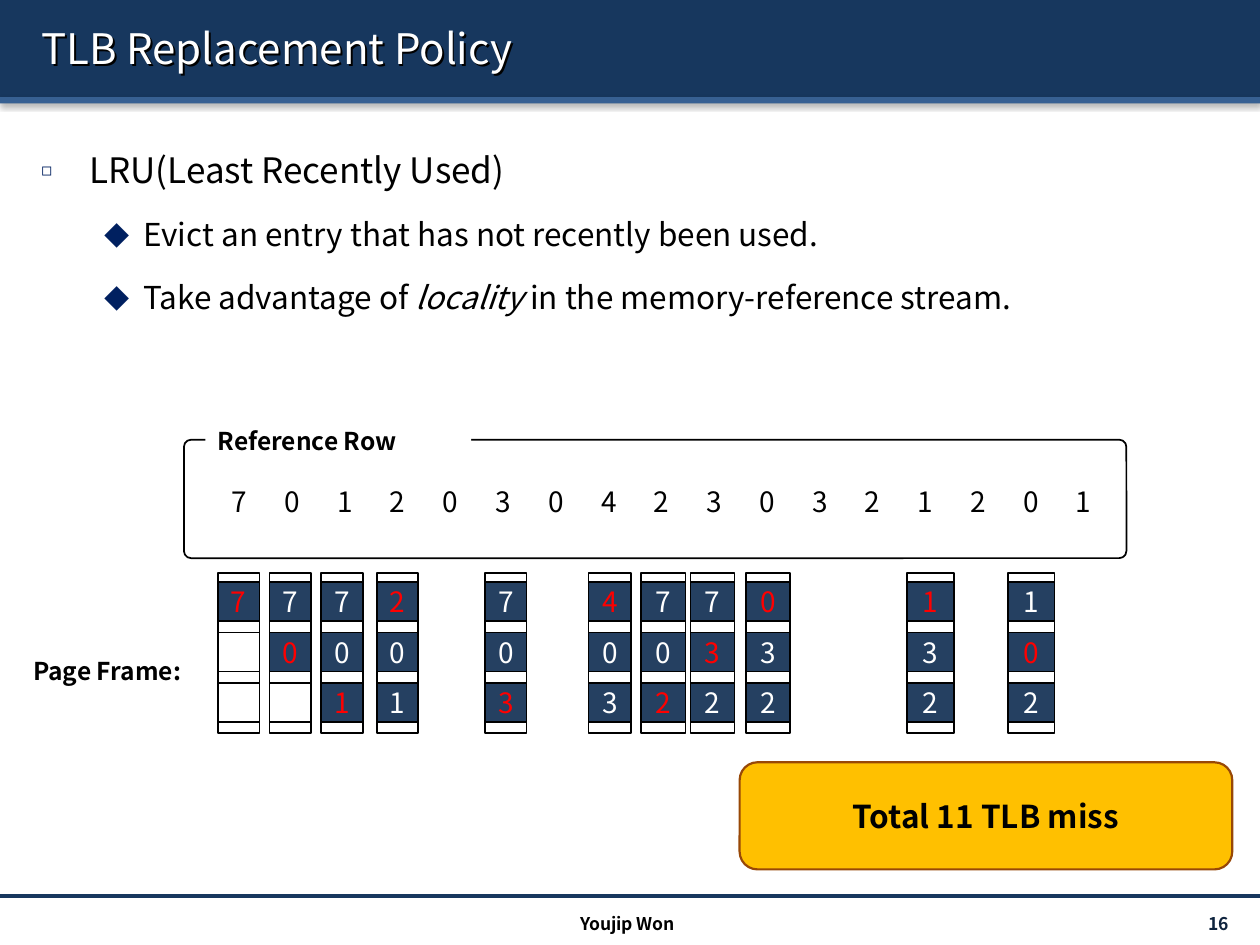
from lxml.etree import SubElement
from pptx import Presentation
from pptx.dml.color import RGBColor
from pptx.enum.shapes import MSO_CONNECTOR, MSO_SHAPE
from pptx.enum.text import MSO_ANCHOR, PP_ALIGN
from pptx.oxml.ns import qn
from pptx.util import Inches, Pt

FONT = "Noto Sans CJK KR"
WHITE = RGBColor(0xFF, 0xFF, 0xFF)
BLACK = RGBColor(0x00, 0x00, 0x00)
RED = RGBColor(0xFF, 0x00, 0x00)
NAVY = RGBColor(0x17, 0x37, 0x5E)
BLUE = RGBColor(0x37, 0x60, 0x92)
BULLET_BLUE = RGBColor(0x00, 0x20, 0x60)
PAGE_NUMBER = RGBColor(0x0F, 0x24, 0x3E)
CELL_BLUE = RGBColor(0x25, 0x40, 0x61)
AMBER = RGBColor(0xFF, 0xC0, 0x00)
BROWN = RGBColor(0x98, 0x48, 0x07)

REFERENCES = "70120304230321201"
FIRST_REFERENCE, LAST_REFERENCE = 1.66, 8.36
FRAME_TOP, CELL_OFFSET, CELL_STEP = 4.55, 0.07, 0.4
FRAMES = [
    (1.73, 0.33, "7  ", 0),
    (2.14, 0.33, "70 ", 1),
    (2.55, 0.33, "701", 2),
    (2.99, 0.33, "201", 0),
    (3.85, 0.33, "703", 2),
    (4.67, 0.34, "403", 0),
    (5.09, 0.35, "702", 2),
    (5.48, 0.35, "732", 1),
    (5.92, 0.35, "032", 0),
    (7.2, 0.37, "132", 0),
    (8, 0.37, "102", 1),
]
BULLETS = [
    ("◻", 50, 20, 0.38, 0.38, [("LRU(Least Recently Used)", False)]),
    ("◆", 80, 18, 0.81, 0.31, [("Evict an entry that has not recently been used.", False)]),
    ("◆", 80, 18, 0.81, 0.31, [("Take advantage of ", False), ("locality", True),
                               (" in the memory-reference stream.", False)]),
]


def add_shadow(shape, blur, distance, direction, opacity):
    """Add a black outer shadow; lengths in points, angle in degrees."""
    properties = shape.element.spPr
    effects = properties.find(qn("a:effectLst"))
    if effects is None:
        effects = SubElement(properties, qn("a:effectLst"))
    shadow = SubElement(effects, qn("a:outerShdw"), blurRad=str(Pt(blur)),
                        dist=str(Pt(distance)), dir=str(direction * 60000))
    color = SubElement(shadow, qn("a:srgbClr"), val=str(BLACK))
    SubElement(color, qn("a:alpha"), val=str(opacity * 1000))


def add_run(paragraph, text, size, color, bold=False, italic=False):
    """Add one formatted run to a paragraph."""
    run = paragraph.add_run()
    run.text = text
    run.font.size = Pt(size)
    run.font.color.rgb = color
    run.font.bold = bold
    run.font.italic = italic
    run.font.name = FONT


def write_line(shape, text, size, color, bold=False, align=PP_ALIGN.CENTER,
               anchor=MSO_ANCHOR.MIDDLE, side_margin=0.1):
    """Write a single line of text in a shape."""
    frame = shape.text_frame
    frame.word_wrap = True
    frame.vertical_anchor = anchor
    frame.margin_left = frame.margin_right = Inches(side_margin)
    paragraph = frame.paragraphs[0]
    paragraph.alignment = align
    add_run(paragraph, text, size, color, bold)


def add_text(slide, box, *text, **layout):
    """Add a text box holding one line."""
    shape = slide.shapes.add_textbox(*map(Inches, box))
    write_line(shape, *text, **layout)
    return shape


def add_box(slide, box, fill, line=None, line_width=1, kind=MSO_SHAPE.RECTANGLE):
    """Add a filled preset shape with an optional outline."""
    shape = slide.shapes.add_shape(kind, *map(Inches, box))
    shape.shadow.inherit = False
    shape.fill.solid()
    shape.fill.fore_color.rgb = fill
    if line is None:
        shape.line.fill.background()
    else:
        shape.line.color.rgb = line
        shape.line.width = Pt(line_width)
    return shape


def add_page_decoration(slide):
    """Draw the title band, the title and the footer."""
    for top, height, color in ((0, 0.77, NAVY), (0.77, 0.05, BLUE)):
        band = add_box(slide, (0, top, 10, height), color)
        add_shadow(band, 3.1, 1.6, 90, 38)
    rule = slide.shapes.add_connector(MSO_CONNECTOR.STRAIGHT, 0, Inches(7.11),
                                      Inches(10), Inches(7.11))
    rule.line.color.rgb = NAVY
    rule.line.width = Pt(2)
    SubElement(rule.element.spPr, qn("a:effectLst"))
    title = add_text(slide, (0.23, 0.06, 9.61, 0.64), "TLB Replacement Policy", 24, WHITE,
                     align=PP_ALIGN.LEFT)
    add_shadow(title, 0, 1.5, 45, 100)
    add_text(slide, (8.71, 7.21, 1.14, 0.24), "16", 10, PAGE_NUMBER, True,
             align=PP_ALIGN.RIGHT)
    add_text(slide, (3.32, 7.2, 3.32, 0.24), "Youjip Won", 10, BLACK, True,
             anchor=MSO_ANCHOR.TOP)


def set_bullet(paragraph, symbol, percent, left, hanging):
    """Give a paragraph a coloured bullet and a hanging indent."""
    properties = paragraph._p.get_or_add_pPr()
    properties.set("marL", str(Inches(left)))
    properties.set("indent", str(-Inches(hanging)))
    color = SubElement(properties, qn("a:buClr"))
    SubElement(color, qn("a:srgbClr"), val=str(BULLET_BLUE))
    SubElement(properties, qn("a:buSzPct"), val=str(percent * 1000))
    SubElement(properties, qn("a:buFont"), typeface=FONT)
    SubElement(properties, qn("a:buChar"), char=symbol)


def add_bullets(slide):
    """Write the bulleted explanation of the policy."""
    box = slide.shapes.add_textbox(Inches(0.23), Inches(0.96), Inches(9.61), Inches(2))
    frame = box.text_frame
    frame.word_wrap = True
    for index, (symbol, percent, size, left, hanging, runs) in enumerate(BULLETS):
        paragraph = frame.add_paragraph() if index else frame.paragraphs[0]
        set_bullet(paragraph, symbol, percent, left, hanging)
        paragraph.level = 1 if index else 0
        paragraph.line_spacing = 1.5
        if index:
            paragraph.space_before = Pt(0.2 * size)
        for text, italic in runs:
            add_run(paragraph, text, size, BLACK, italic=italic)


def add_reference_row(slide):
    """Draw the framed row of page references."""
    row = add_box(slide, (1.46, 3.49, 7.48, 0.94), WHITE, BLACK,
                  kind=MSO_SHAPE.ROUNDED_RECTANGLE)
    row.adjustments[0] = 0.06
    label = add_box(slide, (1.63, 3.33, 2.11, 0.34), WHITE)
    write_line(label, "Reference Row", 14, BLACK, True, align=PP_ALIGN.LEFT,
               anchor=MSO_ANCHOR.TOP)
    step = (LAST_REFERENCE - FIRST_REFERENCE) / (len(REFERENCES) - 1)
    for index, page in enumerate(REFERENCES):
        add_text(slide, (FIRST_REFERENCE + index * step, 3.79, 0.48, 0.37), page, 16, BLACK,
                 side_margin=0)


def add_page_frame(slide, left, width, pages, missed):
    """Draw one column of three cells, with the missed page in red."""
    add_box(slide, (left, FRAME_TOP, width, 1.27), WHITE, BLACK)
    for index, page in enumerate(pages):
        top = FRAME_TOP + CELL_OFFSET + index * CELL_STEP
        filled = page != " "
        cell = add_box(slide, (left, top, width, 0.31), CELL_BLUE if filled else WHITE, BLACK)
        if filled:
            write_line(cell, page, 16, RED if index == missed else WHITE, side_margin=0)


def main():
    """Build and save the slide."""
    presentation = Presentation()
    presentation.slide_width, presentation.slide_height = Inches(10), Inches(7.5)
    slide = presentation.slides.add_slide(presentation.slide_layouts[6])
    add_page_decoration(slide)
    add_bullets(slide)
    add_reference_row(slide)
    add_text(slide, (0.04, 5.16, 1.62, 0.34), "Page Frame:", 14, BLACK, True,
             anchor=MSO_ANCHOR.TOP)
    for frame in FRAMES:
        add_page_frame(slide, *frame)
    total = add_box(slide, (5.87, 6.05, 3.91, 0.85), AMBER, BROWN, 1.25,
                    MSO_SHAPE.ROUNDED_RECTANGLE)
    write_line(total, "Total 11 TLB miss", 18, BLACK, True)
    presentation.save("out.pptx")


if __name__ == "__main__":
    main()
